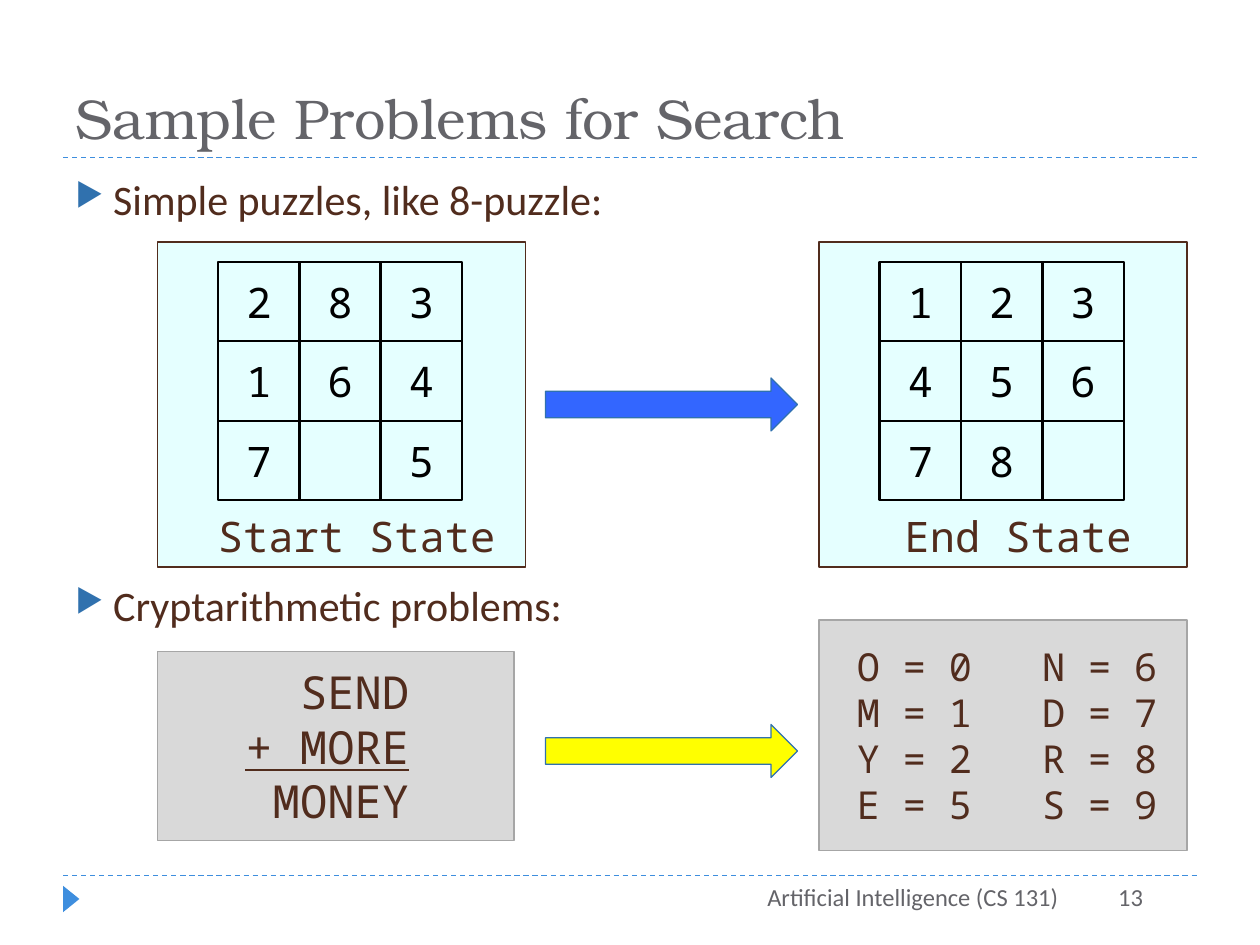
from lxml import etree
from pptx import Presentation
from pptx import util as u
from pptx.dml import color
from pptx.enum import dml, shapes, text
from pptx.oxml import ns

Inches, Pt = u.Inches, u.Pt
SHAPE, ALIGN, ANCHOR = shapes.MSO_SHAPE, text.PP_ALIGN, text.MSO_ANCHOR
C = {"accent": "3E8EDE", "bullet": "3071AE", "title": "646469", "brown": "512C1D",
     "black": "000000", "panel": "E5FFFF", "gray": "D9D9D9", "edge": "A6A6A6",
     "blue": "3366FF", "yellow": "FFFF00"}
MONO = "Noto Sans Mono"


def add_shape(parent, kind, box, fill=None, line=None, width=0.75):
    sp = parent.add_shape(kind, *[Inches(v) for v in box])
    sp.shadow.inherit = False
    if fill:
        sp.fill.solid()
        sp.fill.fore_color.rgb = color.RGBColor.from_string(C[fill])
    else:
        sp.fill.background()
    if line:
        sp.line.color.rgb = color.RGBColor.from_string(C[line])
        sp.line.width = Pt(width)
    else:
        sp.line.fill.background()
    return sp


def write(sp, words, size, font, ink, align=ALIGN.LEFT, anchor=ANCHOR.TOP):
    tf = sp.text_frame
    tf.word_wrap = True
    tf.vertical_anchor = anchor
    tf.text = words
    for p in tf.paragraphs:
        p.alignment = align
        for r in p.runs:
            r.font.size = Pt(size)
            r.font.name = font
            r.font.color.rgb = color.RGBColor.from_string(C[ink])
    return tf


prs = Presentation()
prs.slide_width, prs.slide_height = Inches(10), Inches(7.5)
s = prs.slides.add_slide(prs.slide_layouts[5])

for y in (6.95, 1.25):
    rule = s.shapes.add_connector(shapes.MSO_CONNECTOR.STRAIGHT,
                                  Inches(0.5), Inches(y), Inches(9.5), Inches(y))
    rule.line.color.rgb = color.RGBColor.from_string(C["accent"])
    rule.line.width = Pt(0.75)
    rule.line.dash_style = dml.MSO_LINE.DASH
    etree.SubElement(rule.element.spPr, ns.qn("a:effectLst"))
marker = add_shape(s.shapes, SHAPE.ISOSCELES_TRIANGLE, (0.46, 7.07, 0.21, 0.13), "accent")
marker.rotation = 90

title = s.shapes.title
title.left, title.top, title.width, title.height = [Inches(v) for v in (0.5, 0.17, 9, 1.08)]
write(title, "Sample Problems for Search", 32, "TeX Gyre Bonum", "title", anchor=ANCHOR.BOTTOM)

body = s.shapes.add_textbox(Inches(0.5), Inches(1.33), Inches(9), Inches(5.4))
tf = write(body, "Simple puzzles, like 8-puzzle:\nCryptarithmetic problems:", 24, "Calibri", "brown")
for p, before in zip(tf.paragraphs, (6, 203)):
    p.space_before = Pt(before)
    pPr = p._p.get_or_add_pPr()
    pPr.set("marL", str(Inches(0.3)))
    pPr.set("indent", str(-Inches(0.3)))
    ink = etree.SubElement(pPr, ns.qn("a:buClr"))
    etree.SubElement(ink, ns.qn("a:srgbClr"), val=C["bullet"])
    etree.SubElement(pPr, ns.qn("a:buSzPct"), val="76000")
    etree.SubElement(pPr, ns.qn("a:buChar"), char="▶")

for left, width, words in ((3.83, 4.67, "Artificial Intelligence (CS 131)"), (8.08, 1.09, "13")):
    sp = s.shapes.add_textbox(Inches(left), Inches(6.95), Inches(width), Inches(0.4))
    write(sp, words, 14, "Calibri", "title", ALIGN.RIGHT)

for left, tiles, caption in ((1.25, "2831647 5", "Start State"), (6.5, "12345678 ", "End State")):
    grp = s.shapes.add_group_shape()
    add_shape(grp.shapes, SHAPE.RECTANGLE, (left, 1.92, 2.92, 2.58), "panel", "brown")
    for i, tile in enumerate(tiles):
        row, col = divmod(i, 3)
        box = (left + 0.48 + col * 0.645, 2.08 + row * 0.63, 0.65, 0.63)
        sp = add_shape(grp.shapes, SHAPE.RECTANGLE, box, line="black", width=1.25)
        if tile != " ":
            write(sp, tile, 24, MONO, "black", ALIGN.CENTER, ANCHOR.MIDDLE)
    sp = grp.shapes.add_textbox(Inches(left + 0.08), Inches(4), Inches(3), Inches(0.5))
    write(sp, caption, 24, MONO, "brown", ALIGN.CENTER)

for top, fill in ((3, "blue"), (5.75, "yellow")):
    add_shape(s.shapes, SHAPE.RIGHT_ARROW, (4.33, top, 2, 0.42), fill, "bullet")

puzzle = add_shape(s.shapes, SHAPE.RECTANGLE, (1.25, 5.17, 2.83, 1.5), "gray", "edge")
tf = write(puzzle, "SEND\n+ MORE\nMONEY", 26, MONO, "brown", ALIGN.RIGHT, ANCHOR.MIDDLE)
tf.margin_right = Inches(0.83)
tf.paragraphs[1].runs[0].font.underline = True

answer = add_shape(s.shapes, SHAPE.RECTANGLE, (6.5, 4.92, 2.92, 1.83), "gray", "edge")
tf = write(answer, "O = 0\tN = 6\nM = 1\tD = 7\nY = 2\tR = 8\nE = 5\tS = 9", 22, MONO, "brown",
           anchor=ANCHOR.MIDDLE)
tf.margin_left = Inches(0.3)
for p in tf.paragraphs:
    tabs = etree.SubElement(p._p.get_or_add_pPr(), ns.qn("a:tabLst"))
    etree.SubElement(tabs, ns.qn("a:tab"), pos=str(Inches(1.47)), algn="l")

prs.save("out.pptx")
